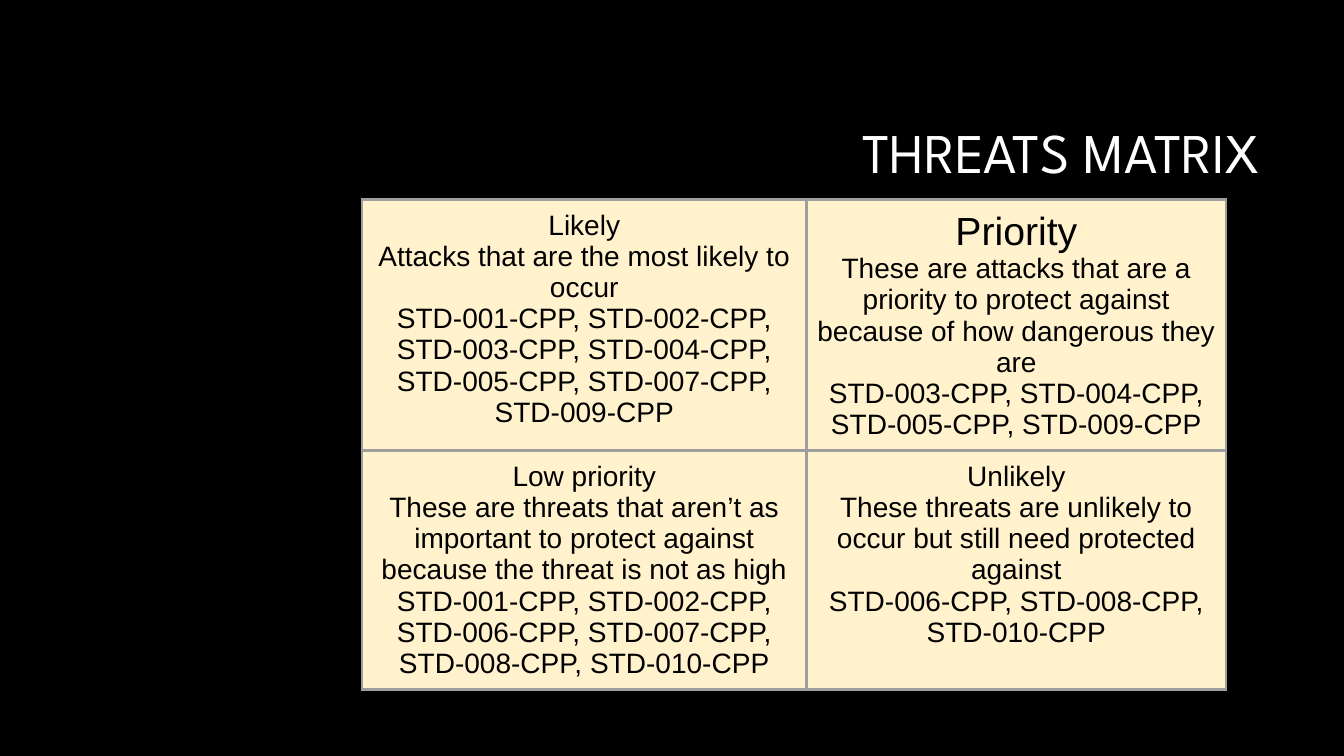
from dataclasses import dataclass

from lxml import etree
from pptx import Presentation
from pptx.dml.color import RGBColor
from pptx.enum.text import MSO_ANCHOR, PP_ALIGN
from pptx.oxml.ns import qn
from pptx.util import Inches, Pt

CENTER, RIGHT = PP_ALIGN.CENTER, PP_ALIGN.RIGHT
TOP, MIDDLE = MSO_ANCHOR.TOP, MSO_ANCHOR.MIDDLE
TITLE_ONLY = 5
SLIDE_WIDTH, SLIDE_HEIGHT = Inches(13.33), Inches(7.5)
COLUMN_WIDTHS = (4.41, 4.16)
ROW_HEIGHT = 1.93


@dataclass(frozen=True)
class Theme:
    background: str = "000000"
    title_color: str = "FFFFFF"
    text_color: str = "000000"
    cell_fill: str = "FFF2CC"
    border_color: str = "9E9E9E"
    border_width: float = 2.25
    title_font: str = "League Spartan"
    body_font: str = "Arial"
    title_size: int = 40
    priority_size: int = 28
    body_size: int = 20


THEME = Theme()


def standards(*numbers):
    return ", ".join(f"STD-{number:03d}-CPP" for number in numbers)


MATRIX = (
    (
        ("Likely", THEME.body_size,
         "Attacks that are the most likely to occur",
         standards(1, 2, 3, 4, 5, 7, 9)),
        ("Priority", THEME.priority_size,
         "These are attacks that are a priority to protect against "
         "because of how dangerous they are",
         standards(3, 4, 5, 9)),
    ),
    (
        ("Low priority", THEME.body_size,
         "These are threats that aren’t as important to protect against "
         "because the threat is not as high",
         standards(1, 2, 6, 7, 8, 10)),
        ("Unlikely", THEME.body_size,
         "These threats are unlikely to occur but still need protected against",
         standards(6, 8, 10)),
    ),
)


def format_paragraph(paragraph, text, alignment, font_name, size, color):
    paragraph.text = text
    paragraph.alignment = alignment
    paragraph.font.name = font_name
    paragraph.font.size = Pt(size)
    paragraph.font.color.rgb = RGBColor.from_string(color)


def set_background(slide):
    fill = slide.background.fill
    fill.solid()
    fill.fore_color.rgb = RGBColor.from_string(THEME.background)


def format_title(slide, text):
    title = slide.shapes.title
    title.left, title.top = Inches(3.17), Inches(0.84)
    title.width, title.height = Inches(9.42), Inches(1.41)
    frame = title.text_frame
    frame.word_wrap = True
    frame.vertical_anchor = MIDDLE
    paragraph = frame.paragraphs[0]
    format_paragraph(paragraph, text, RIGHT, THEME.title_font,
                     THEME.title_size, THEME.title_color)
    paragraph.line_spacing = 0.9


def add_borders(cell):
    properties = cell._tc.get_or_add_tcPr()
    for side in ("a:lnL", "a:lnR", "a:lnT", "a:lnB"):
        line = etree.SubElement(properties, qn(side), w=str(Pt(THEME.border_width)))
        fill = etree.SubElement(line, qn("a:solidFill"))
        etree.SubElement(fill, qn("a:srgbClr"), val=THEME.border_color)


def fill_cell(cell, heading, heading_size, description, codes):
    add_borders(cell)
    cell.fill.solid()
    cell.fill.fore_color.rgb = RGBColor.from_string(THEME.cell_fill)
    cell.margin_left = cell.margin_right = Inches(0.1)
    cell.margin_top = cell.margin_bottom = Inches(0.1)
    cell.vertical_anchor = TOP
    frame = cell.text_frame
    format_paragraph(frame.paragraphs[0], heading, CENTER, THEME.body_font,
                     heading_size, THEME.text_color)
    for text in (description, codes):
        format_paragraph(frame.add_paragraph(), text, CENTER, THEME.body_font,
                         THEME.body_size, THEME.text_color)


def add_matrix(slide, matrix):
    table = slide.shapes.add_table(
        len(matrix), len(COLUMN_WIDTHS), Inches(3.59), Inches(1.98),
        Inches(sum(COLUMN_WIDTHS)), Inches(ROW_HEIGHT * len(matrix))).table
    table.first_row = table.horz_banding = False
    for column, width in zip(table.columns, COLUMN_WIDTHS):
        column.width = Inches(width)
    for row, quadrants in enumerate(matrix):
        for column, quadrant in enumerate(quadrants):
            fill_cell(table.cell(row, column), *quadrant)


def main():
    presentation = Presentation()
    presentation.slide_width, presentation.slide_height = SLIDE_WIDTH, SLIDE_HEIGHT
    slide = presentation.slides.add_slide(presentation.slide_layouts[TITLE_ONLY])
    set_background(slide)
    format_title(slide, "THREATS MATRIX")
    add_matrix(slide, MATRIX)
    presentation.save("out.pptx")


if __name__ == "__main__":
    main()
